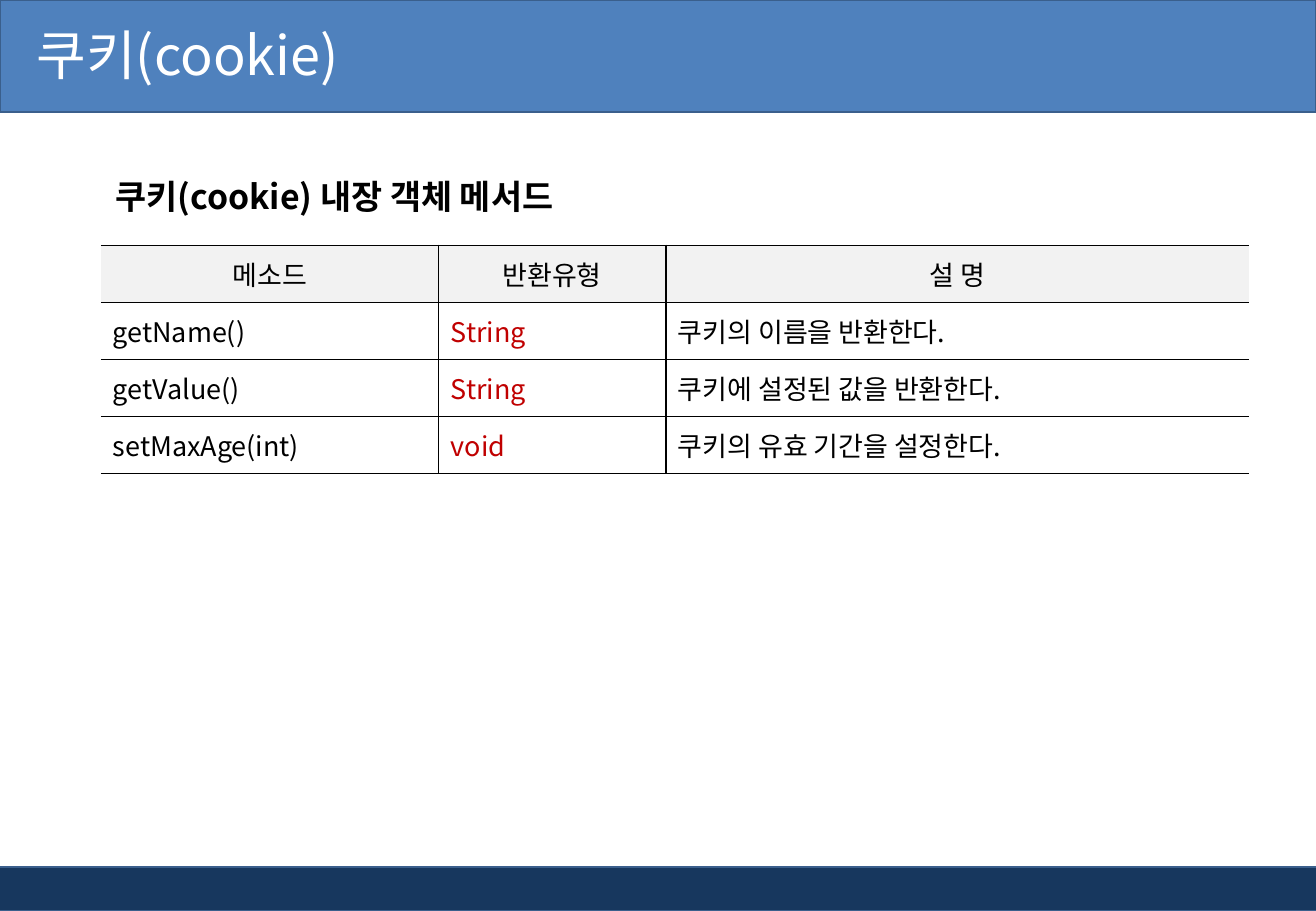
from lxml import etree
from pptx import Presentation
from pptx.dml.color import RGBColor
from pptx.enum import shapes, text
from pptx.oxml import ns
from pptx.util import Inches, Pt

TITLE = "쿠키(cookie)"
SUBTITLE = "쿠키(cookie) 내장 객체 메서드"
METHODS = [
    ("메소드", "반환유형", "설 명"),
    ("getName()", "String", "쿠키의 이름을 반환한다."),
    ("getValue()", "String", "쿠키에 설정된 값을 반환한다."),
    ("setMaxAge(int)", "void", "쿠키의 유효 기간을 설정한다."),
]
COLUMN_WIDTHS = (2.78, 1.87, 4.8)
ROW_HEIGHT = 0.47
WIDTH, HEIGHT = 10.83, 7.5

FONT = "Noto Sans CJK KR"
BLACK = RGBColor(0, 0, 0)
WHITE = RGBColor(255, 255, 255)
RED = RGBColor(0xC0, 0, 0)
GRAY = RGBColor(0xF2, 0xF2, 0xF2)
BLUE = RGBColor(0x4F, 0x81, 0xBD)
NAVY = RGBColor(0x17, 0x37, 0x5E)
OUTLINE = RGBColor(0x3A, 0x5F, 0x8C)


def write(frame, words, size, color, bold=False):
    paragraph = frame.paragraphs[0]
    paragraph.text = words
    font = paragraph.font
    font.size, font.bold = Pt(size), bold
    font.color.rgb = color
    font.name = FONT
    properties = paragraph._p.pPr.find(ns.qn("a:defRPr"))
    etree.SubElement(properties, ns.qn("a:ea"), typeface=FONT)
    return paragraph


def add_bar(slide, left, top, width, height, color):
    bar = slide.shapes.add_shape(
        shapes.MSO_SHAPE.RECTANGLE, *map(Inches, (left, top, width, height)))
    bar.shadow.inherit = False
    bar.fill.solid()
    bar.fill.fore_color.rgb = color
    bar.line.color.rgb = OUTLINE
    bar.line.width = Pt(1)


def add_label(slide, left, top, width, height):
    label = slide.shapes.add_textbox(*map(Inches, (left, top, width, height)))
    label.text_frame.word_wrap = True
    return label.text_frame


def set_borders(cell, visible):
    properties = cell._tc.get_or_add_tcPr()
    for position, side in enumerate("LRTB"):
        border = etree.Element(ns.qn(f"a:ln{side}"), w=str(Pt(1)))
        if side in visible:
            fill = etree.SubElement(border, ns.qn("a:solidFill"))
            etree.SubElement(fill, ns.qn("a:srgbClr"), val=str(BLACK))
        else:
            etree.SubElement(border, ns.qn("a:noFill"))
        properties.insert(position, border)


def add_methods(slide):
    table = slide.shapes.add_table(
        len(METHODS), len(COLUMN_WIDTHS), Inches(0.83), Inches(2.02),
        Inches(sum(COLUMN_WIDTHS)), Inches(ROW_HEIGHT * len(METHODS))).table
    table.first_row = table.horz_banding = False
    for column, width in zip(table.columns, COLUMN_WIDTHS):
        column.width = Inches(width)
    for r, method in enumerate(METHODS):
        table.rows[r].height = Inches(ROW_HEIGHT)
        for c, words in enumerate(method):
            cell = table.cell(r, c)
            cell.vertical_anchor = text.MSO_ANCHOR.MIDDLE
            color = RED if r > 0 and c == 1 else BLACK
            paragraph = write(cell.text_frame, words, 16, color)
            if r == 0:
                paragraph.alignment = text.PP_ALIGN.CENTER
                cell.fill.solid()
                cell.fill.fore_color.rgb = GRAY
            else:
                cell.fill.background()
            set_borders(cell, ("RTB", "LRTB", "LTB")[c])


def main():
    deck = Presentation()
    deck.slide_width, deck.slide_height = Inches(WIDTH), Inches(HEIGHT)
    slide = deck.slides.add_slide(deck.slide_layouts[6])
    add_bar(slide, -0.04, 7.14, 10.88, 0.36, NAVY)
    add_bar(slide, 0, 0, WIDTH, 0.92, BLUE)

    title = add_label(slide, 0, -0.03, 8.74, 0.94)
    title.margin_left = Inches(0.3)
    title.vertical_anchor = text.MSO_ANCHOR.MIDDLE
    write(title, TITLE, 32, WHITE)

    subtitle = add_label(slide, 0.85, 1.23, 9.29, 0.61)
    write(subtitle, SUBTITLE, 20, BLACK, bold=True).line_spacing = 1.5

    add_methods(slide)
    deck.save("out.pptx")


if __name__ == "__main__":
    main()
